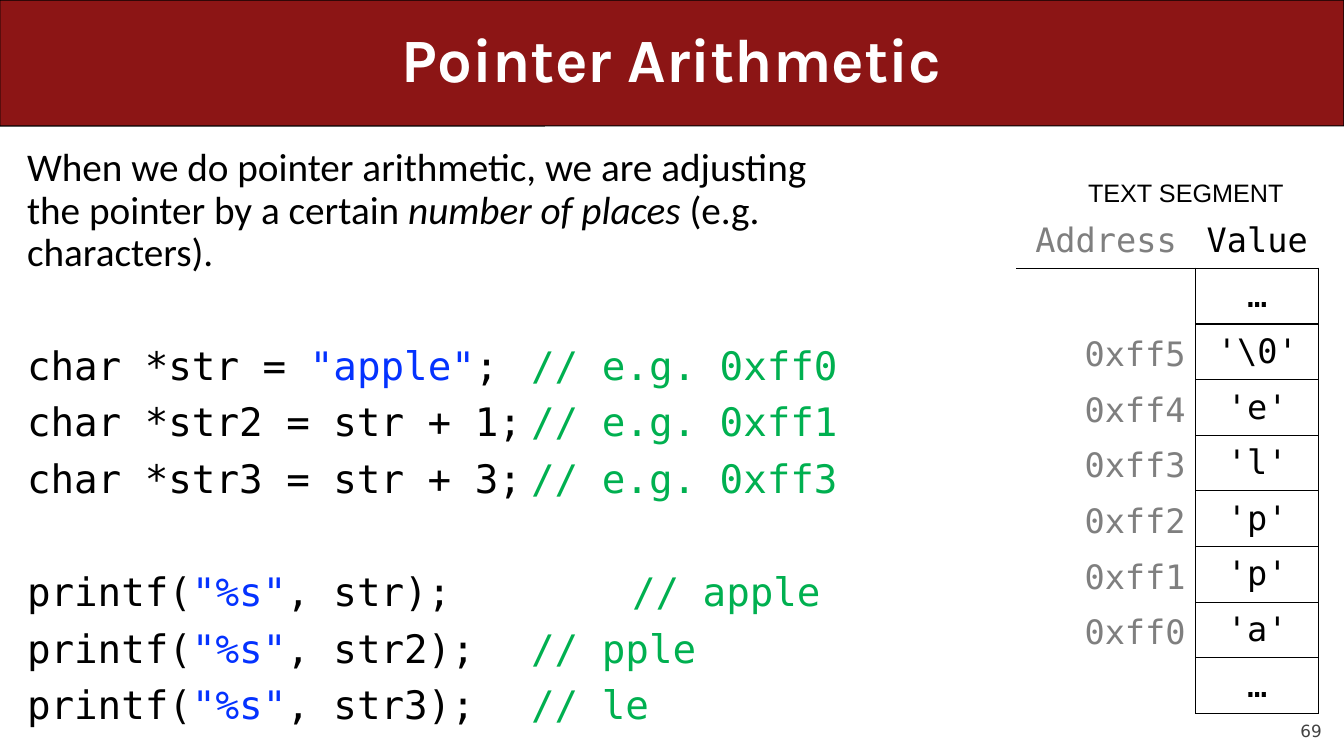
from lxml import etree
from pptx import Presentation
from pptx.dml.color import RGBColor
from pptx.enum.shapes import MSO_SHAPE
from pptx.enum.text import MSO_ANCHOR, PP_ALIGN
from pptx.oxml.ns import qn
from pptx.util import Inches, Pt

ROUNDED = MSO_SHAPE.ROUNDED_RECTANGLE
TOP, MIDDLE, BOTTOM = MSO_ANCHOR.TOP, MSO_ANCHOR.MIDDLE, MSO_ANCHOR.BOTTOM
LEFT, CENTER, RIGHT = PP_ALIGN.LEFT, PP_ALIGN.CENTER, PP_ALIGN.RIGHT

COLORS = {
    "black": "000000", "white": "FFFFFF", "cardinal": "8C1515",
    "string": "0432FF", "comment": "00B050", "address": "7F7F7F",
    "number": "424242",
}
MONO = "DejaVu Sans Mono"
TITLE_ONLY = 5
TITLE_HEIGHT = 1.25
CODE_TABS = (5, 6)

INTRO = [
    ("When we do pointer arithmetic, we are adjusting the pointer by a certain ", False),
    ("number of places", True),
    (" (e.g. characters).", False),
]
# Each line: code before the string, string, code after it, comment
CODE_GROUPS = [
    [
        ("char *str = ", '"apple"', ";\t", "// e.g. 0xff0"),
        ("char *str2 = str + 1;\t", "", "", "// e.g. 0xff1"),
        ("char *str3 = str + 3;\t", "", "", "// e.g. 0xff3"),
    ],
    [
        ("printf(", '"%s"', ", str);\t\t", "// apple"),
        ("printf(", '"%s"', ", str2);\t", "// pple"),
        ("printf(", '"%s"', ", str3);\t", "// le"),
    ],
]
CODE_COLORS = ("black", "string", "black", "comment")
MEMORY = [
    ("Address", "Value"), ("", "…"), ("0xff5", r"'\0'"), ("0xff4", "'e'"),
    ("0xff3", "'l'"), ("0xff2", "'p'"), ("0xff1", "'p'"), ("0xff0", "'a'"),
    ("", "…"),
]


def rgb(name):
    return RGBColor.from_string(COLORS[name])


def add_text(paragraph, text, font="Calibri", size=28, color="black",
             bold=False, italic=False):
    run = paragraph.add_run()
    run.text = text
    run.font.name = font
    run.font.size = Pt(size)
    run.font.color.rgb = rgb(color)
    run.font.bold = bold
    run.font.italic = italic


def add_text_box(slide, left, top, width, height, align=LEFT, anchor=TOP):
    """Add a wrapping text box and return its text frame."""
    box = slide.shapes.add_textbox(
        Inches(left), Inches(top), Inches(width), Inches(height))
    frame = box.text_frame
    frame.word_wrap = True
    frame.vertical_anchor = anchor
    frame.paragraphs[0].alignment = align
    return frame


def add_title(slide, text, width, height):
    title = slide.shapes.title
    banner = slide.shapes.add_shape(ROUNDED, 0, 0, Inches(width), Inches(height))
    banner.adjustments[0] = 0.001
    banner.shadow.inherit = False
    banner.fill.solid()
    banner.fill.fore_color.rgb = rgb("cardinal")
    banner.line.color.rgb = rgb("black")
    banner.line.width = Pt(0.75)
    title._element.addprevious(banner._element)

    margin = 0.5
    title.left, title.top = Inches(margin), 0
    title.width, title.height = Inches(width - 2 * margin), Inches(height)
    title.text_frame.vertical_anchor = MIDDLE
    paragraph = title.text_frame.paragraphs[0]
    paragraph.alignment = CENTER
    paragraph.line_spacing = 0.9
    add_text(paragraph, text, font="Karla", size=44, color="white", bold=True)


def set_tabs(paragraph, positions):
    tab_list = etree.SubElement(paragraph._p.get_or_add_pPr(), qn("a:tabLst"))
    for position in positions:
        etree.SubElement(tab_list, qn("a:tab"), pos=str(Inches(position)), algn="l")


def add_explanation(slide, left, top, width, height):
    frame = add_text_box(slide, left, top, width, height)
    intro = frame.paragraphs[0]
    intro.line_spacing = 0.9
    for text, italic in INTRO:
        add_text(intro, text, italic=italic)
    for group in CODE_GROUPS:
        for index, pieces in enumerate(group):
            paragraph = frame.add_paragraph()
            set_tabs(paragraph, CODE_TABS)
            paragraph.line_spacing = 0.9
            paragraph.space_before = Pt(10 if index else 51)
            for text, color in zip(pieces, CODE_COLORS):
                if text:
                    add_text(paragraph, text, font=MONO, color=color)


def set_borders(cell, drawn_edges):
    """Draw the given edges (letters of LRTB) and clear the others."""
    properties = cell._tc.get_or_add_tcPr()
    for edge in "LRTB":
        line = etree.SubElement(properties, qn(f"a:ln{edge}"), w=str(Pt(1)))
        if edge in drawn_edges:
            fill = etree.SubElement(line, qn("a:solidFill"))
            etree.SubElement(fill, qn("a:srgbClr"), val=COLORS["black"])
        else:
            etree.SubElement(line, qn("a:noFill"))


def add_memory_table(slide, left, top, width, height):
    label = add_text_box(slide, left + 0.59, top - 0.4, 2.16, 0.4, align=RIGHT)
    add_text(label.paragraphs[0], "TEXT SEGMENT", font="Arial", size=18)

    table = slide.shapes.add_table(
        len(MEMORY), 2, Inches(left), Inches(top), Inches(width), Inches(height)).table
    table.first_row = table.horz_banding = False
    address_width = 1.78
    table.columns[0].width = Inches(address_width)
    table.columns[1].width = Inches(width - address_width)
    for row, values in enumerate(MEMORY):
        for column, text in enumerate(values):
            cell = table.cell(row, column)
            is_header, is_address = row == 0, column == 0
            if is_header:
                edges = "B"
            elif is_address:
                edges = "RT" if row == 1 else "R"
            else:
                edges = "LRTB"
            set_borders(cell, edges)
            cell.fill.background()
            cell.vertical_anchor = BOTTOM if is_address and not is_header else MIDDLE
            paragraph = cell.text_frame.paragraphs[0]
            paragraph.alignment = RIGHT if is_address and not is_header else CENTER
            if text:
                add_text(paragraph, text, font=MONO, size=24,
                         color="address" if is_address else "black")


def add_slide_number(slide, number, left, top, width, height):
    frame = add_text_box(slide, left, top, width, height, align=RIGHT, anchor=BOTTOM)
    frame.margin_left = frame.margin_right = 0
    frame.margin_top = frame.margin_bottom = 0
    add_text(frame.paragraphs[0], number, font="DejaVu Sans", size=12, color="number")


def main():
    presentation = Presentation()
    presentation.slide_width = Inches(13.33)
    presentation.slide_height = Inches(7.5)
    slide = presentation.slides.add_slide(presentation.slide_layouts[TITLE_ONLY])
    add_title(slide, "Pointer Arithmetic", 13.33, TITLE_HEIGHT)
    add_explanation(slide, 0.17, 1.42, 8.42, 6.08)
    add_memory_table(slide, 10.08, 2.11, 3, 4.97)
    add_slide_number(slide, "69", 12, 6.95, 1.11, 0.4)
    presentation.save("out.pptx")


if __name__ == "__main__":
    main()
